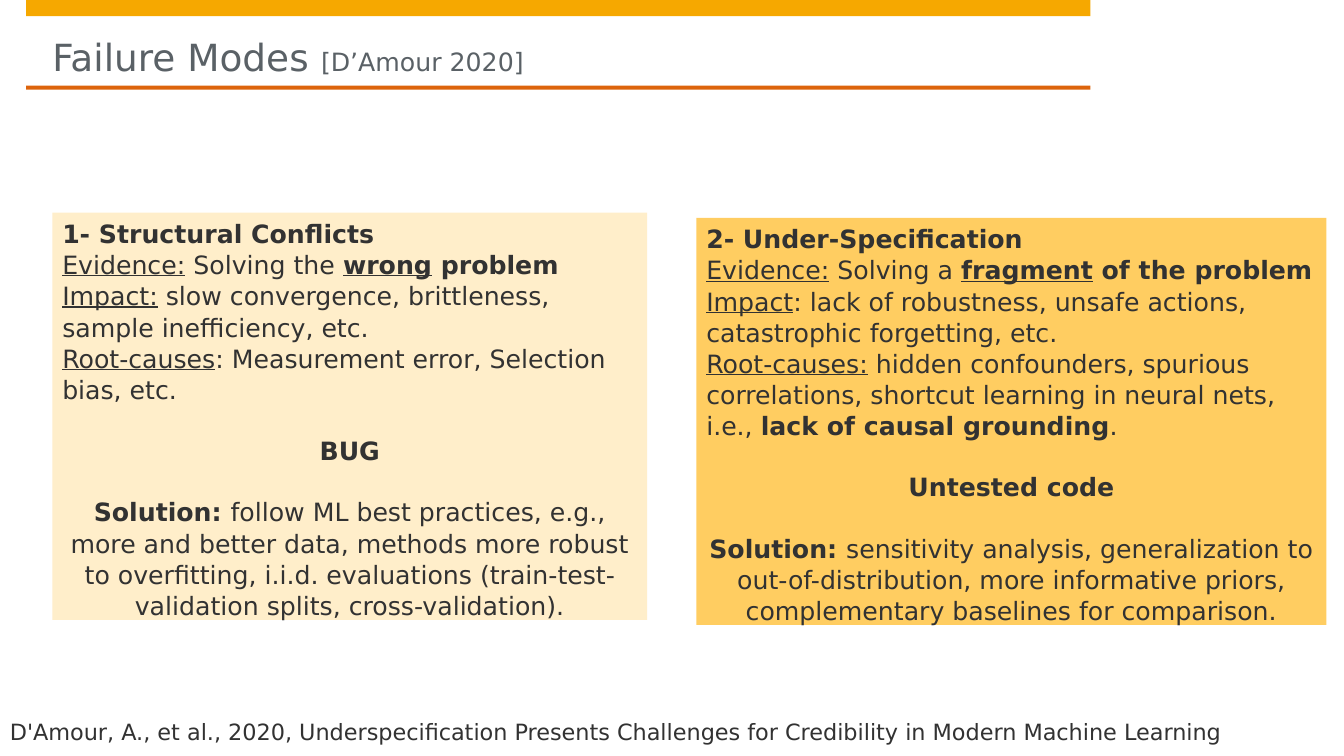
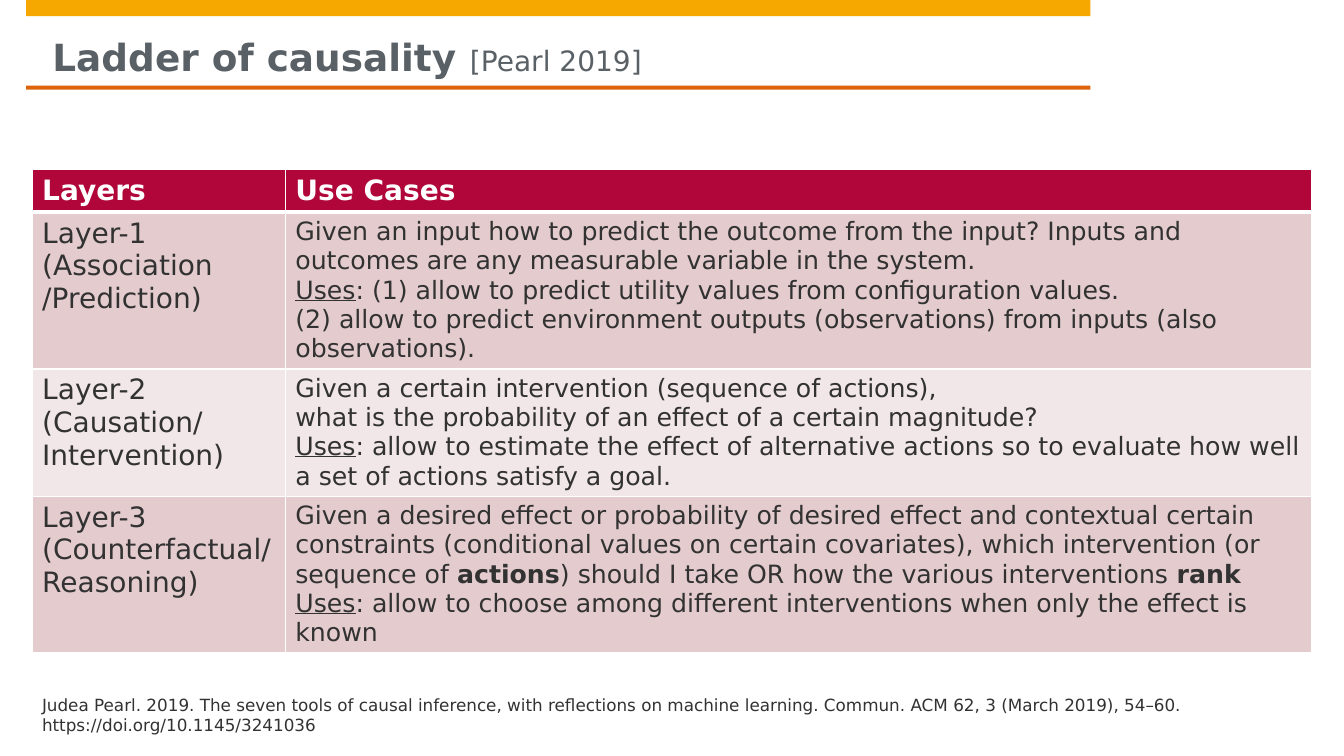
from lxml import etree
from pptx import Presentation
from pptx.dml.color import RGBColor
from pptx.enum.shapes import MSO_SHAPE
from pptx.enum.text import MSO_ANCHOR, MSO_AUTO_SIZE, PP_ALIGN
from pptx.oxml.ns import qn
from pptx.util import Cm, Pt

RECTANGLE = MSO_SHAPE.RECTANGLE
LEFT, CENTER = PP_ALIGN.LEFT, PP_ALIGN.CENTER
TOP, MIDDLE = MSO_ANCHOR.TOP, MSO_ANCHOR.MIDDLE
NO_AUTOFIT = MSO_AUTO_SIZE.NONE

FONT = "DejaVu Sans"
COLORS = {
    "band": "F6A800", "rule": "DD640C", "title": "5A6166", "text": "323232",
    "white": "FFFFFF", "header": "B1063A", "row_dark": "E4CCCE",
    "row_light": "F2E7E8", "box_pale": "FFEECA", "box_strong": "FFCD61",
}
SLIDE_SIZE = (33.87, 19.05)
TITLE_BOX = (1.32, 0.41, 25.48, 1.6)
BANDS = [((0.66, 0, 26.82, 0.41), "band"), ((0.66, 2.16, 26.82, 0.1), "rule")]
TITLE_SIZE = 26.7
BODY_SIZE = 18
LABEL_SIZE = 20
BOX_LINE_SPACING = 1.03
BOX_GAP = 21.6

# Each run is (text, style): b is bold, u is underlined.
FAILURE_TITLE = [("Failure Modes ", ""), ("[D’Amour 2020]", "")]
FAILURE_SOURCE = (
    "D'Amour, A., et al., 2020, Underspecification Presents Challenges for "
    "Credibility in Modern Machine Learning"
)
FAILURE_BOXES = [
    {
        "place": (1.32, 5.36, 14.99, 10.26),
        "fill": "box_pale",
        "facts": [
            [("1- Structural Conflicts", "b")],
            [("Evidence:", "u"), (" Solving the ", ""), ("wrong", "bu"), (" problem", "b")],
            [("Impact:", "u"),
             (" slow convergence, brittleness, sample inefficiency, etc.", "")],
            [("Root-causes", "u"), (": Measurement error, Selection bias, etc.", "")],
        ],
        "remedies": [
            [("BUG", "b")],
            [("Solution: ", "b"),
             ("follow ML best practices, e.g., more and better data, methods more "
              "robust to overfitting, i.i.d. evaluations (train-test-validation "
              "splits, cross-validation).", "")],
        ],
    },
    {
        "place": (17.55, 5.49, 15.88, 10.26),
        "fill": "box_strong",
        "facts": [
            [("2- Under-Specification", "b")],
            [("Evidence:", "u"), (" Solving a ", ""), ("fragment", "bu"),
             (" of the problem", "b")],
            [("Impact", "u"),
             (": lack of robustness, unsafe actions, catastrophic forgetting, etc.", "")],
            [("Root-causes:", "u"),
             (" hidden confounders, spurious correlations, shortcut learning in "
              "neural nets, i.e., ", ""),
             ("lack of causal grounding", "b"), (".", "")],
        ],
        "remedies": [
            [("Untested code", "b")],
            [("Solution: ", "b"),
             ("sensitivity analysis, generalization to out-of-distribution, more "
              "informative priors, complementary baselines for comparison.", "")],
        ],
    },
]

LADDER_TITLE = [("Ladder of causality ", "b"), ("[Pearl 2019]", "")]
LADDER_SOURCE = (
    "Judea Pearl. 2019. The seven tools of causal inference, with reflections on "
    "machine learning. Commun. ACM 62, 3 (March 2019), 54–60. "
    "https://doi.org/10.1145/3241036"
)
LADDER_ORIGIN = (0.81, 4.27)
LADDER_COLUMNS = [6.38, 25.86]
LADDER_HEIGHTS = [1.04, 3.95, 3.21, 3.95]
LADDER_ROWS = [
    ([[("Layers", "b")]], [[("Use Cases", "b")]]),
    (
        [[("Layer-1 (Association", "")], [("/Prediction)", "")]],
        [
            [("Given an input how to predict the outcome from the input? Inputs and "
              "outcomes are any measurable variable in the system.", "")],
            [("Uses", "u"),
             (": (1) allow to predict utility values from configuration values.", "")],
            [("(2) allow to predict environment outputs (observations) from inputs "
              "(also observations).", "")],
        ],
    ),
    (
        [[("Layer-2 (Causation/", "")], [("Intervention)", "")]],
        [
            [("Given a certain intervention (sequence of actions),", "")],
            [("what is the probability of an effect of a certain magnitude?", "")],
            [("Uses", "u"),
             (": allow to estimate the effect of alternative actions so to evaluate "
              "how well a set of actions satisfy a goal.", "")],
        ],
    ),
    (
        [[("Layer-3 (Counterfactual/", "")], [("Reasoning)", "")]],
        [
            [("Given a desired effect or probability of desired effect and contextual "
              "certain constraints (conditional values on certain covariates), which "
              "intervention (or sequence of ", ""),
             ("actions", "b"),
             (") should I take OR how the various interventions ", ""), ("rank", "b")],
            [("Uses", "u"),
             (": allow to choose among different interventions when only the effect "
              "is known", "")],
        ],
    ),
]


def color(name):
    return RGBColor.from_string(COLORS[name])


def lengths(values):
    return [Cm(value) for value in values]


def write_runs(paragraph, runs, sizes, color_name="text", alignment=LEFT):
    paragraph.alignment = alignment
    for (text, style), size in zip(runs, sizes):
        run = paragraph.add_run()
        run.text = text
        font = run.font
        font.name, font.size = FONT, Pt(size)
        font.bold, font.underline = "b" in style, "u" in style
        font.color.rgb = color(color_name)


def write_paragraphs(text_frame, paragraphs, size, color_name="text"):
    for index, runs in enumerate(paragraphs):
        paragraph = text_frame.add_paragraph() if index else text_frame.paragraphs[0]
        write_runs(paragraph, runs, [size] * len(runs), color_name)


def add_rectangle(slide, place, fill):
    shape = slide.shapes.add_shape(RECTANGLE, *lengths(place))
    shape.shadow.inherit = False
    shape.fill.solid()
    shape.fill.fore_color.rgb = color(fill)
    shape.line.fill.background()
    return shape


def prepare_layout(layout, slide):
    tree = layout.shapes.element
    title, *unused = layout.placeholders
    for placeholder in unused:
        tree.remove(placeholder.element)
    title.left, title.top, title.width, title.height = lengths(TITLE_BOX)
    frame = title.text_frame
    frame.margin_left = frame.margin_right = frame.margin_top = frame.margin_bottom = 0
    frame.margin_top = Cm(0.41)
    frame.vertical_anchor = MIDDLE
    frame.auto_size = NO_AUTOFIT
    for shape in [add_rectangle(slide, place, fill) for place, fill in BANDS]:
        tree.insert(2, shape.element)


def write_title(slide, runs, citation_size):
    paragraph = slide.shapes.title.text_frame.paragraphs[0]
    write_runs(paragraph, runs, [TITLE_SIZE, citation_size], "title")


def add_source(slide, text, place, size):
    frame = slide.shapes.add_textbox(*lengths(place)).text_frame
    frame.word_wrap = True
    write_paragraphs(frame, [[(text, "")]], size)


def add_failure_box(slide, box):
    frame = add_rectangle(slide, box["place"], box["fill"]).text_frame
    frame.word_wrap = True
    frame.vertical_anchor = TOP
    write_paragraphs(frame, box["facts"] + box["remedies"], BODY_SIZE)
    for paragraph in frame.paragraphs:
        paragraph.line_spacing = BOX_LINE_SPACING
    for paragraph in frame.paragraphs[len(box["facts"]):]:
        paragraph.alignment = CENTER
        paragraph.space_before = Pt(BOX_GAP)


def set_borders(cell, bottom_width):
    properties = cell._tc.get_or_add_tcPr()
    for side, width in (("L", 1), ("R", 1), ("T", 1), ("B", bottom_width)):
        line = etree.SubElement(properties, qn(f"a:ln{side}"), w=str(Pt(width)))
        fill = etree.SubElement(line, qn("a:solidFill"))
        etree.SubElement(fill, qn("a:srgbClr"), val=COLORS["white"])


def add_ladder_table(slide):
    size = (sum(LADDER_COLUMNS), sum(LADDER_HEIGHTS))
    table = slide.shapes.add_table(
        len(LADDER_ROWS), len(LADDER_COLUMNS), *lengths(LADDER_ORIGIN + size)
    ).table
    for column, width in zip(table.columns, LADDER_COLUMNS):
        column.width = Cm(width)
    for row_index, (row, height) in enumerate(zip(LADDER_ROWS, LADDER_HEIGHTS)):
        table.rows[row_index].height = Cm(height)
        is_header = row_index == 0
        fill = "header" if is_header else ("row_light", "row_dark")[row_index % 2]
        for column_index, paragraphs in enumerate(row):
            cell = table.cell(row_index, column_index)
            set_borders(cell, 3 if is_header else 1)
            cell.fill.solid()
            cell.fill.fore_color.rgb = color(fill)
            text_size = LABEL_SIZE if is_header or column_index == 0 else BODY_SIZE
            write_paragraphs(
                cell.text_frame, paragraphs, text_size, "white" if is_header else "text"
            )


def main():
    presentation = Presentation()
    presentation.slide_width, presentation.slide_height = lengths(SLIDE_SIZE)
    layout = presentation.slide_layouts[5]

    failure_slide = presentation.slides.add_slide(layout)
    prepare_layout(layout, failure_slide)
    write_title(failure_slide, FAILURE_TITLE, 18)
    add_source(failure_slide, FAILURE_SOURCE, (0, 17.98, 33.87, 0.94), 16)
    for box in FAILURE_BOXES:
        add_failure_box(failure_slide, box)

    ladder_slide = presentation.slides.add_slide(layout)
    write_title(ladder_slide, LADDER_TITLE, 20)
    add_ladder_table(ladder_slide)
    add_source(ladder_slide, LADDER_SOURCE, (0.81, 17.37, 29.39, 1.27), 12)

    presentation.save("out.pptx")


if __name__ == "__main__":
    main()
